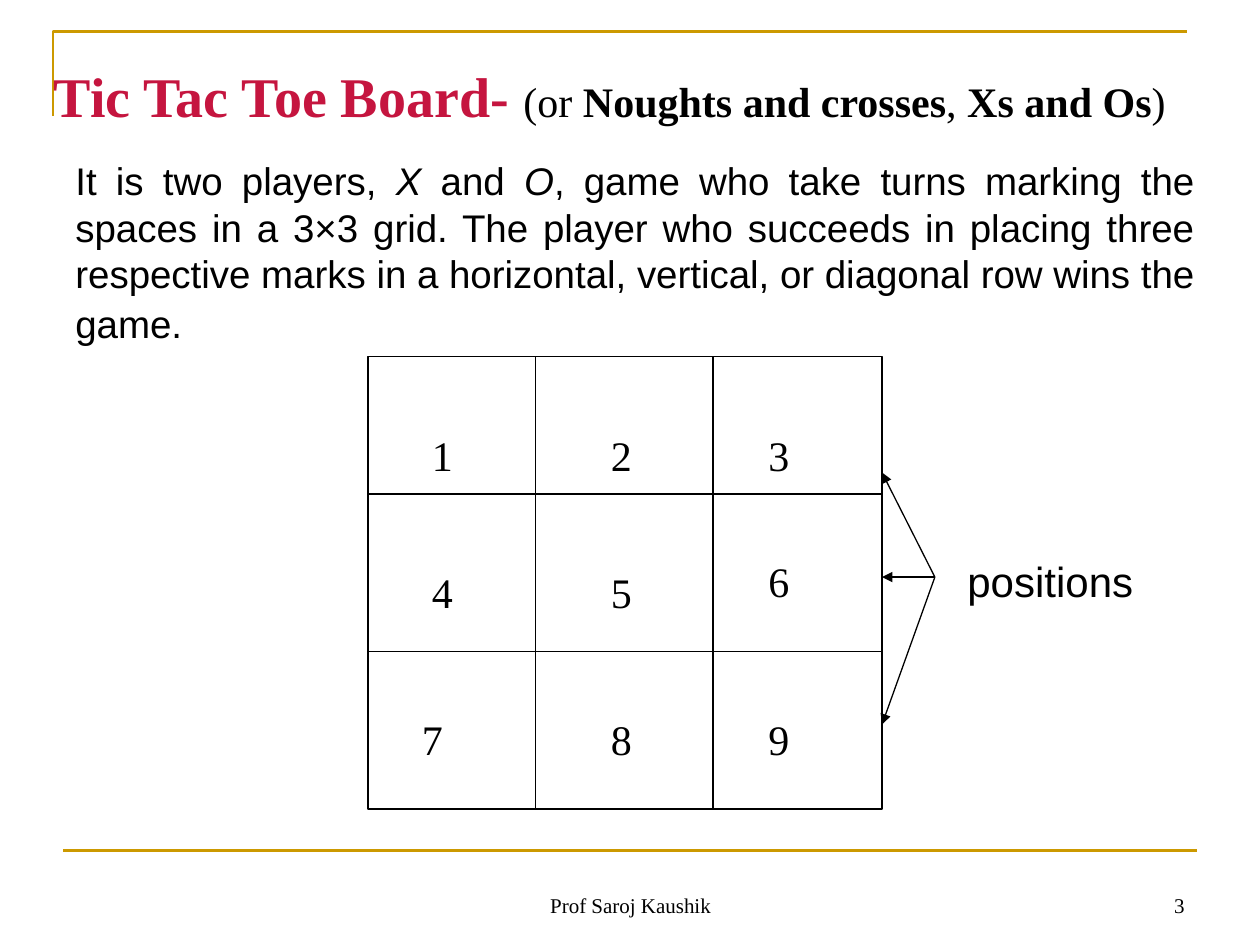
from pptx import Presentation
from pptx.dml.color import RGBColor
from pptx.enum.shapes import MSO_CONNECTOR, MSO_SHAPE
from pptx.enum.text import MSO_ANCHOR, PP_ALIGN
from pptx.oxml import parse_xml
from pptx.oxml.ns import nsdecls
from pptx.util import Inches, Pt

COLORS = {"ink": "000000", "gold": "CC9900", "red": "C5153F", "paper": "FFFFFF"}
SERIF, SANS = "Times New Roman", "Arial"


def color(name):
    return RGBColor.from_string(COLORS[name])


def write(para, text, size=24, font=SERIF, ink="ink", bold=False, italic=False):
    """Add one formatted run to a paragraph."""
    run = para.add_run()
    run.text = text
    face = run.font
    face.size, face.name = Pt(size), font
    face.bold, face.italic = bold, italic
    face.color.rgb = color(ink)


class Board:
    """Style and current slide."""

    def __init__(self, slide):
        self.slide = slide
        self.shapes = slide.shapes
        slide.background.fill.solid()
        slide.background.fill.fore_color.rgb = color("paper")

    def stroke(self, shape, ink, width):
        shape.line.color.rgb = color(ink)
        shape.line.width = Pt(width)

    def line(self, x1, y1, x2, y2, ink="ink", width=0.75, arrow=False):
        link = self.shapes.add_connector(
            MSO_CONNECTOR.STRAIGHT, Inches(x1), Inches(y1), Inches(x2), Inches(y2))
        self.stroke(link, ink, width)
        if arrow:
            link.line._get_or_add_ln().append(
                parse_xml(f'<a:tailEnd {nsdecls("a")} type="triangle"/>'))
        link._element.spPr.append(parse_xml(f'<a:effectLst {nsdecls("a")}/>'))

    def outline(self, points, ink, width):
        start, *rest = [(Inches(x), Inches(y)) for x, y in points]
        path = self.shapes.build_freeform(*start)
        path.add_line_segments(rest, close=False)
        shape = path.convert_to_shape()
        self.clear(shape, ink, width)

    def frame(self, left, top, width, height):
        shape = self.shapes.add_shape(
            MSO_SHAPE.RECTANGLE, Inches(left), Inches(top), Inches(width), Inches(height))
        self.clear(shape, "ink", 0.75)

    def clear(self, shape, ink, width):
        shape.shadow.inherit = False
        shape.fill.background()
        self.stroke(shape, ink, width)

    def text(self, left, top, width, height, runs, align=PP_ALIGN.LEFT,
             anchor=MSO_ANCHOR.TOP, inset=0.08):
        box = self.shapes.add_textbox(
            Inches(left), Inches(top), Inches(width), Inches(height))
        frame = box.text_frame
        frame.word_wrap = True
        frame.vertical_anchor = anchor
        frame.margin_top = Inches(inset)
        para = frame.paragraphs[0]
        para.alignment = align
        for words, style in runs:
            write(para, words, **style)


def main():
    deck = Presentation()
    deck.slide_width, deck.slide_height = Inches(10), Inches(7.5)
    board = Board(deck.slides.add_slide(deck.slide_layouts[6]))

    # Gold rules
    board.outline([(0.42, 0.92), (0.42, 0.25), (9.42, 0.25)], "gold", 1.5)
    board.line(0.5, 6.75, 9.5, 6.75, "gold", 1.5)

    # Title
    bold = {"bold": True}
    board.text(0.33, 0.3, 9.42, 0.61, [
        ("Tic Tac Toe Board- ", {"size": 32, "ink": "red", "bold": True}),
        ("(or ", {}), ("Noughts and crosses", bold), (", ", {}),
        ("Xs and Os", bold), (")", {})], inset=0.19)

    # Grid
    left, top, right, bottom = 2.92, 2.83, 7, 6.42
    board.frame(left, top, right - left, bottom - top)
    for x in (4.25, 5.66):
        board.line(x, top, x, bottom)
    for y in (3.92, 5.17):
        board.line(left, y, right, y)

    # Cell numbers, row by row
    spots = [(3.33, 3.33), (4.75, 3.33), (6, 3.33),
             (3.33, 4.42), (4.75, 4.42), (6, 4.33),
             (3.25, 5.58), (4.75, 5.58), (6, 5.58)]
    for num, (x, y) in enumerate(spots, 1):
        board.text(x, y, 0.5, 0.5, [(str(num), {})])

    # Arrows and their label
    for y in (3.75, 4.58, 5.75):
        board.line(7.42, 4.58, right, y, arrow=True)
    board.text(7.58, 4.33, 1.83, 0.5, [("positions", {"font": SANS})])

    # Rules of the game
    plain = {"size": 22, "font": SANS}
    slant = {**plain, "italic": True}
    board.text(0.5, 1.17, 9.08, 1.6, [
        ("It is two players, ", plain), ("X", slant), (" and ", plain), ("O", slant),
        (", game who take turns marking the spaces in a 3×3 grid. The player who "
         "succeeds in placing three respective marks in a horizontal, vertical, or "
         "diagonal row wins the game.", plain),
        (" ", {"font": SANS})], align=PP_ALIGN.JUSTIFY)

    # Footer
    for x, width, words, align in ((3.42, 3.17, "Prof Saroj Kaushik", PP_ALIGN.CENTER),
                                   (7.17, 2.33, "3", PP_ALIGN.RIGHT)):
        board.text(x, 6.83, width, 0.5, [(words, {"size": 12})], align, MSO_ANCHOR.BOTTOM)

    deck.save("out.pptx")


if __name__ == "__main__":
    main()
